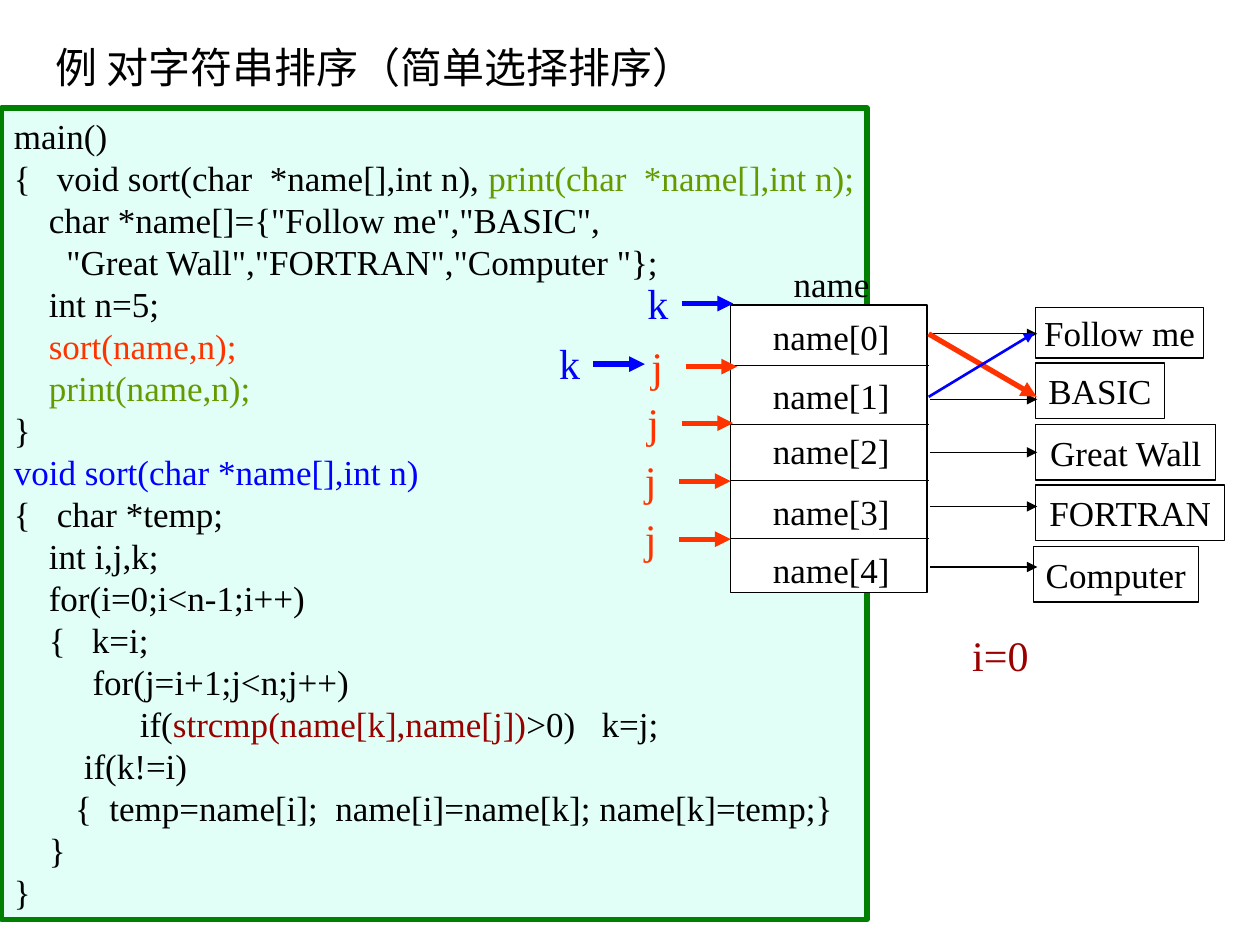
"""Build a slide that explains selection sort on an array of string pointers."""
from lxml.etree import SubElement
from pptx import Presentation
from pptx.dml.color import RGBColor
from pptx.enum.shapes import MSO_CONNECTOR, MSO_SHAPE
from pptx.enum.text import MSO_ANCHOR, PP_ALIGN
from pptx.oxml.ns import qn
from pptx.util import Cm, Pt

COLOURS = {
    "black": "000000", "white": "FFFFFF", "mint": "E1FFF7", "border": "008000",
    "green": "669900", "red": "FF3300", "blue": "0000FF", "maroon": "990000",
}

deck = Presentation()
deck.slide_width, deck.slide_height = Cm(25.4), Cm(19.05)
page = deck.slides.add_slide(deck.slide_layouts[6])


def add_box(left, top, width, height, lines=(), size=20, centred=False, fill=None, line=None, weight=0.75):
    box = page.shapes.add_shape(MSO_SHAPE.RECTANGLE, Cm(left), Cm(top), Cm(width), Cm(height))
    box.shadow.inherit = False
    if fill:
        box.fill.solid()
        box.fill.fore_color.rgb = RGBColor.from_string(COLOURS[fill])
    else:
        box.fill.background()
    if line:
        box.line.color.rgb = RGBColor.from_string(COLOURS[line])
        box.line.width = Pt(weight)
    else:
        box.line.fill.background()
    frame = box.text_frame
    frame.word_wrap = not centred
    frame.vertical_anchor = MSO_ANCHOR.MIDDLE if centred else MSO_ANCHOR.TOP
    if not centred:
        frame.margin_right = 0
    for index, runs in enumerate(lines):
        para = frame.add_paragraph() if index else frame.paragraphs[0]
        para.alignment = PP_ALIGN.CENTER if centred else PP_ALIGN.LEFT
        if len(lines) > 1:
            para.line_spacing = Pt(24)
            para._p.get_or_add_pPr().set("defTabSz", str(Cm(2.54)))
        for text, colour in runs:
            span = para.add_run()
            span.text = text
            span.font.name = "Times New Roman"
            span.font.size = Pt(size)
            span.font.color.rgb = RGBColor.from_string(COLOURS[colour])


def add_line(x1, y1, x2, y2, colour="black", weight=0.75, arrow=True):
    connector = page.shapes.add_connector(MSO_CONNECTOR.STRAIGHT, Cm(x1), Cm(y1), Cm(x2), Cm(y2))
    connector.line.color.rgb = RGBColor.from_string(COLOURS[colour])
    connector.line.width = Pt(weight)
    if arrow:
        SubElement(connector.line._get_or_add_ln(), qn("a:tailEnd"), type="triangle")
    SubElement(connector._element.spPr, qn("a:effectLst"))


code = [
    [("main()", "black")],
    [("{   void sort(char  *name[],int n), ", "black"), ("print(char  *name[],int n);", "green")],
    [('    char *name[]={"Follow me","BASIC",', "black")],
    [('      "Great Wall","FORTRAN","Computer "};', "black")],
    [("    int n=5;", "black")],
    [("    sort(name,n);", "red")],
    [("    ", "black"), ("print(name,n);", "green")],
    [("}", "black")],
    [("void sort(char *name[],int n)", "blue")],
    [("{   char *temp;", "black")],
    [("    int i,j,k;", "black")],
    [("    for(i=0;i<n-1;i++)", "black")],
    [("    {   k=i;", "black")],
    [("         for(j=i+1;j<n;j++)", "black")],
    [("\tif(", "black"), ("strcmp(name[k],name[j])", "maroon"), (">0)   k=j;", "black")],
    [("        if(k!=i)", "black")],
    [("       {  temp=name[i];  name[i]=name[k]; name[k]=temp;}", "black")],
    [("    }", "black")],
    [("}", "black")],
]
add_box(0.86, 0.71, 13.59, 1.27, [[("例 对字符串排序（简单选择排序）", "black")]], size=24)
add_box(0.03, 2.18, 17.45, 16.36, code, fill="mint", line="border", weight=3)

add_box(14.73, 6.15, 3.96, 5.79, fill="white", line="black")
for y in (7.37, 8.56, 9.68, 10.85):
    add_line(14.73, y, 18.72, y, arrow=False)
add_box(15.75, 5.16, 2.03, 1.12, [[("name", "black")]], centred=True)

entries = [
    ("Follow me", 6.22, 6.73, 20.88, 6.2, 3.38, 1.02),
    ("BASIC", 7.42, 8.05, 20.88, 7.32, 2.59, 1.12),
    ("Great Wall", 8.53, 9.12, 20.88, 8.56, 3.63, 1.12),
    ("FORTRAN", 9.75, 10.21, 20.88, 9.78, 3.81, 1.12),
    ("Computer", 10.92, 11.43, 20.83, 11.02, 3.33, 1.12),
]
for index, (word, cell_top, arrow_y, left, top, width, height) in enumerate(entries):
    add_box(15.34, cell_top, 2.84, 1.12, [[(f"name[{index}]", "black")]], centred=True)
    add_box(left, top, width, height, [[(word, "black")]], centred=True, line="black")
    add_line(18.75, arrow_y, 20.91, arrow_y)

markers = [
    ("k", "blue", 13.74, 6.12), ("j", "red", 13.82, 7.39), ("k", "blue", 11.96, 7.34),
    ("j", "red", 13.74, 8.53), ("j", "red", 13.69, 9.7), ("j", "red", 13.69, 10.87),
]
for letter, colour, x, y in markers:
    add_line(x, y, x + 1.04, y, colour, 3)
    add_box(x - 0.94, y - 0.66, 0.9, 1.27, [[(letter, colour)]], size=24)

add_box(19.35, 12.57, 1.63, 1.27, [[("i=0", "maroon")]], size=24)
add_line(18.72, 6.73, 20.9, 8, "red", 3)
add_line(18.72, 8, 20.85, 6.71, "blue", 1.5)

deck.save("out.pptx")
